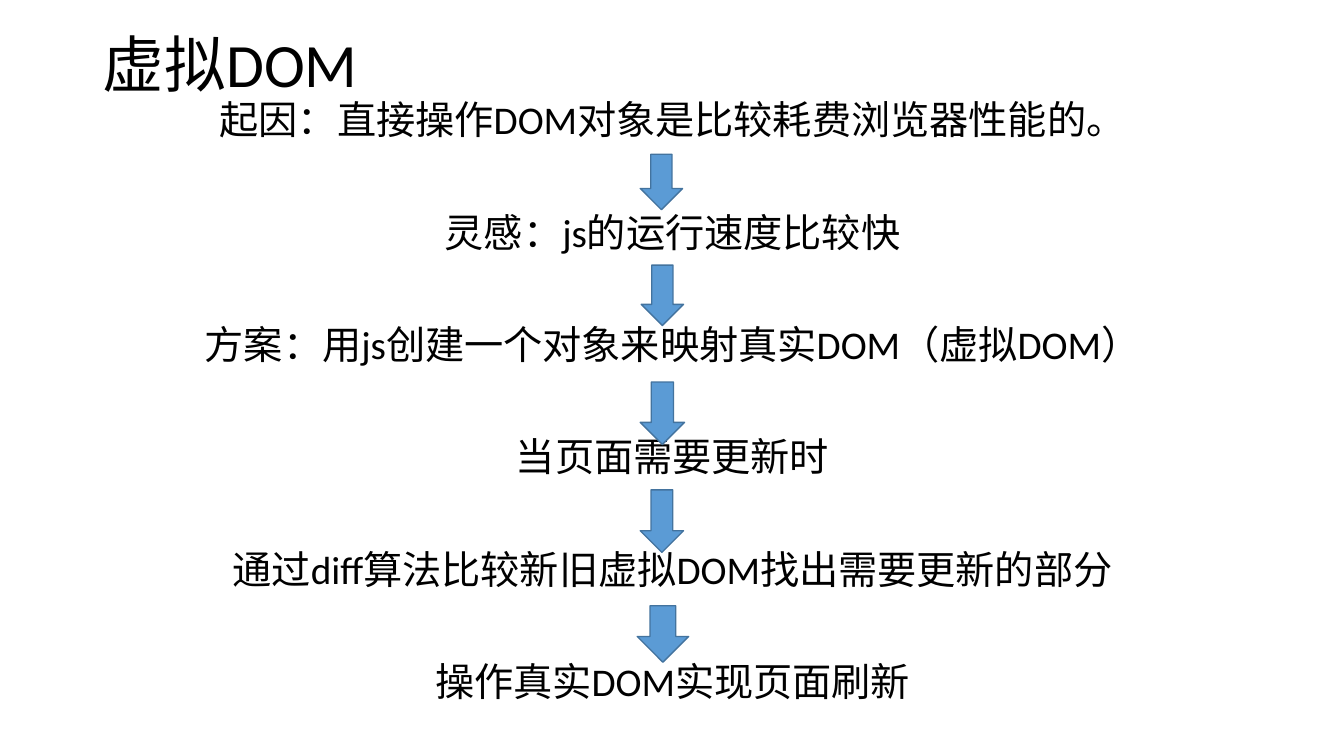
import pptx
import pptx.util
import pptx.dml.color
import pptx.enum.shapes
import pptx.enum.text
import lxml.etree

Pt = pptx.util.Pt
Rgb = pptx.dml.color.RGBColor.from_string
Enum = pptx.enum.text

theme = {
    "font": "Calibri",
    "ink": Rgb("000000"),
    "fill": Rgb("5B9BD5"),
    "edge": Rgb("43739E"),
    "head": Pt(44),
    "body": Pt(28),
}

deck = pptx.Presentation()
deck.slide_width = pptx.util.Inches(13.33)
deck.slide_height = pptx.util.Inches(7.5)
col = deck.slide_width / 1333
row = deck.slide_height / 750
slide = deck.slides.add_slide(deck.slide_layouts[1])


def place(shape, left, top, width, height):
    shape.left, shape.width = round(left * col), round(width * col)
    shape.top, shape.height = round(top * row), round(height * row)


def write(shape, lines, size, align, gap):
    frame = shape.text_frame
    frame.text = "\n".join(lines)
    frame.word_wrap = True
    frame.auto_size = Enum.MSO_AUTO_SIZE.NONE
    form = {"alignment": align, "line_spacing": 0.9, "space_before": gap}
    for para in frame.paragraphs:
        for key, value in form.items():
            setattr(para, key, value)
        para.font.size = size
        para.font.name = theme["font"]
        para.font.color.rgb = theme["ink"]


title = slide.shapes.title
place(title, 92, 17, 1150, 100)
write(title, ["虚拟DOM"], theme["head"], Enum.PP_ALIGN.LEFT, Pt(0))
title.text_frame.vertical_anchor = Enum.MSO_ANCHOR.MIDDLE

steps = [
    "起因：直接操作DOM对象是比较耗费浏览器性能的。",
    "灵感：js的运行速度比较快",
    "方案：用js创建一个对象来映射真实DOM（虚拟DOM）",
    "当页面需要更新时",
    "通过diff算法比较新旧虚拟DOM找出需要更新的部分",
    "操作真实DOM实现页面刷新",
]
body = slide.placeholders[1]
place(body, 92, 95, 1150, 643)
write(body, steps, theme["body"], Enum.PP_ALIGN.CENTER, Pt(50))
body.text_frame.paragraphs[0].space_before = Pt(10)
space = "{http://schemas.openxmlformats.org/drawingml/2006/main}"
for para in body.text_frame.paragraphs:
    props = para._p.get_or_add_pPr()
    props.set("marL", "0")
    props.set("indent", "0")
    bullet = lxml.etree.Element(space + "buNone")
    props.find(space + "spcBef").addnext(bullet)

arrows = [
    (635, 153, 42, 55),
    (636, 263, 42, 60),
    (635, 379, 44, 62),
    (635, 486, 43, 62),
    (632, 601, 51, 56),
]
for box in arrows:
    arrow = slide.shapes.add_shape(
        pptx.enum.shapes.MSO_SHAPE.DOWN_ARROW, 0, 0, 0, 0)
    place(arrow, *box)
    arrow.shadow.inherit = False
    arrow.fill.solid()
    arrow.fill.fore_color.rgb = theme["fill"]
    arrow.line.color.rgb = theme["edge"]
    arrow.line.width = Pt(1)

deck.save("out.pptx")
